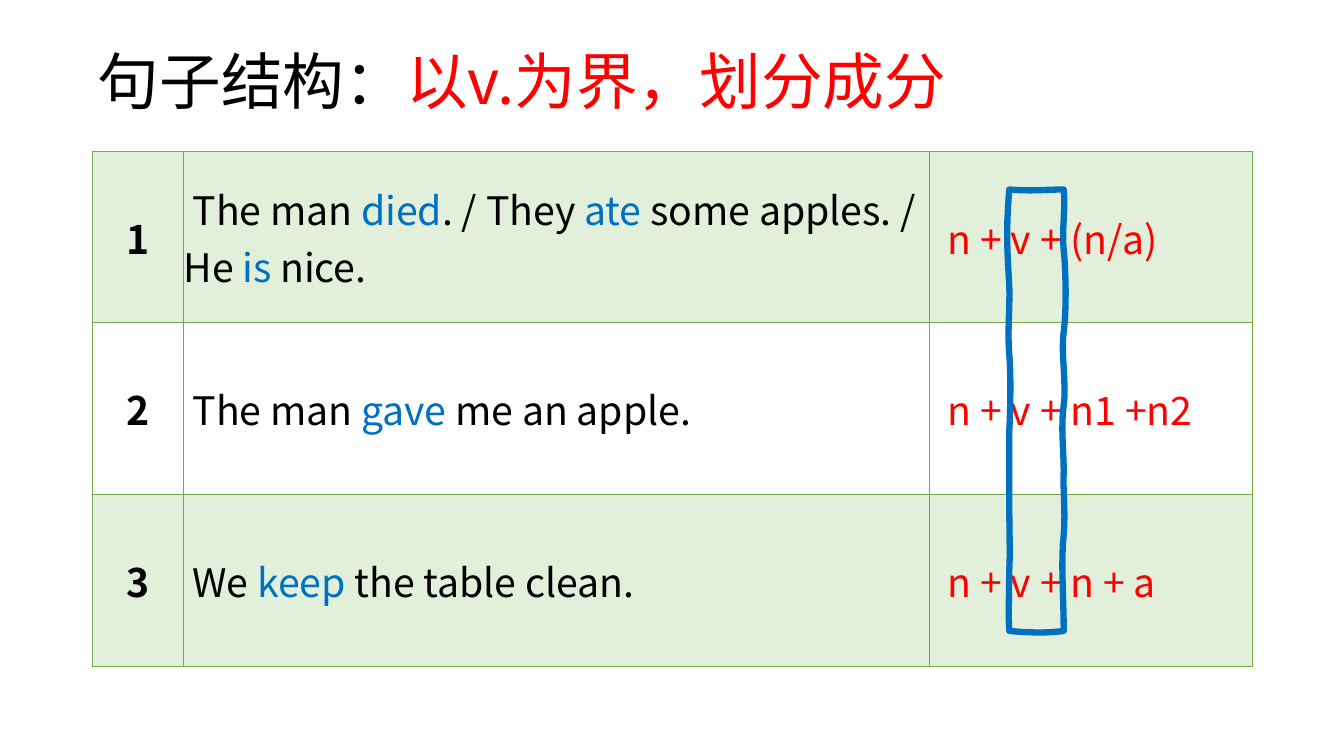
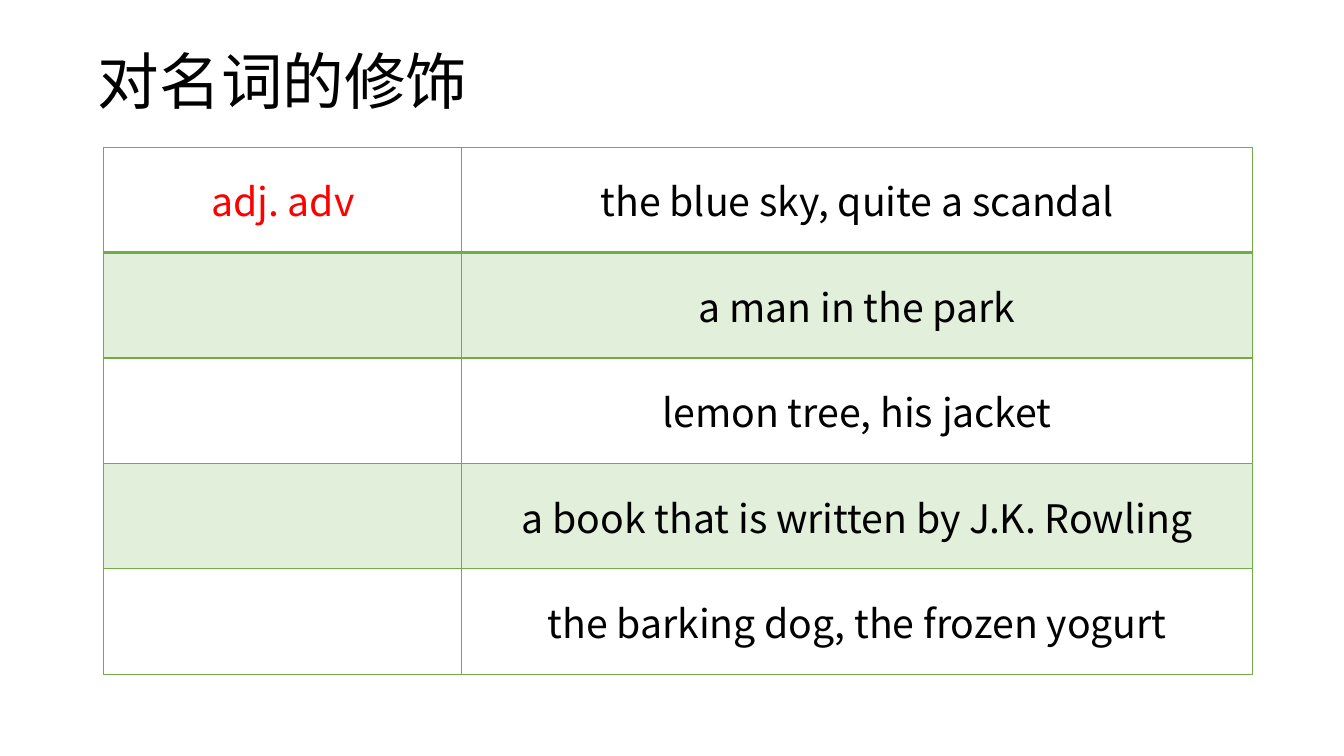
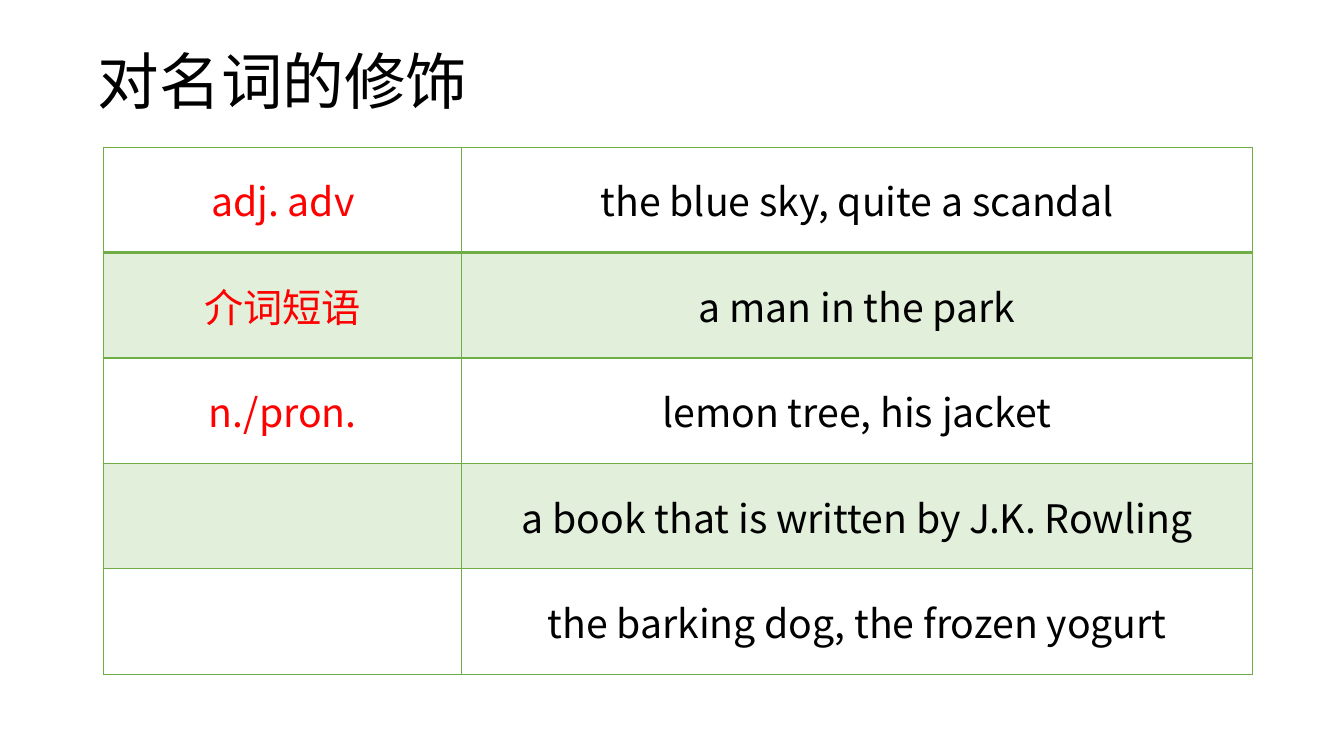
from lxml.etree import SubElement
from pptx import Presentation
from pptx.dml.color import RGBColor
from pptx.enum.text import MSO_ANCHOR, MSO_AUTO_SIZE, PP_ALIGN
from pptx.oxml import parse_xml
from pptx.oxml.ns import nsdecls, qn
from pptx.util import Inches, Pt

COLORS = {
    "text": "000000",
    "accent": "FF0000",
    "verb": "0070C0",
    "border": "70AD47",
    "band": "E2EFDA",
    "plain": "FFFFFF",
}
FONT = "Noto Sans CJK SC"
TITLE_SIZE, BODY_SIZE = 44, 28


def color(name):
    return RGBColor.from_string(COLORS[name])


class Deck:
    """Shared style plus the slide being filled."""

    def __init__(self):
        self.prs = Presentation()
        self.prs.slide_width, self.prs.slide_height = Inches(13.33), Inches(7.5)
        self.slide = None

    def add_runs(self, paragraph, parts, size, bold=False):
        """Fill a paragraph from (text, colour name) pairs."""
        for text, color_name in parts:
            run = paragraph.add_run()
            run.text = text
            run.font.name, run.font.size, run.font.bold = FONT, Pt(size), bold
            run.font.color.rgb = color(color_name)
            SubElement(run._r.get_or_add_rPr(), qn("a:ea"), typeface=FONT)

    def new_slide(self, title_parts):
        self.slide = self.prs.slides.add_slide(self.prs.slide_layouts[5])
        title = self.slide.shapes.title
        title.left, title.top = Inches(0.92), Inches(0.4)
        title.width, title.height = Inches(11.5), Inches(0.87)
        frame = title.text_frame
        frame.auto_size = MSO_AUTO_SIZE.NONE
        frame.vertical_anchor = MSO_ANCHOR.MIDDLE
        frame.margin_left = frame.margin_right = Inches(0.05)
        frame.margin_top = frame.margin_bottom = Inches(0.05)
        paragraph = frame.paragraphs[0]
        paragraph.alignment = PP_ALIGN.LEFT
        paragraph.line_spacing = 0.9
        self.add_runs(paragraph, title_parts, TITLE_SIZE)

    def table(self, left, top, height, widths, row_count, first_band):
        """Bordered grid of equal rows; every second row is tinted."""
        table = self.slide.shapes.add_table(
            row_count, len(widths), Inches(left), Inches(top),
            Inches(sum(widths)), Inches(height)).table
        table.first_row = table.horz_banding = False
        for column, width in zip(table.columns, widths):
            column.width = Inches(width)
        for row_index, row in enumerate(table.rows):
            banded = row_index % 2 == first_band
            for cell in row.cells:
                cell.margin_left = cell.margin_right = 0
                cell.margin_top = cell.margin_bottom = 0
                cell.vertical_anchor = MSO_ANCHOR.MIDDLE
                cell.fill.solid()
                cell.fill.fore_color.rgb = color("band" if banded else "plain")
                self.borders(cell)
        return table

    def borders(self, cell, **widths):
        """Draw all four sides, 1 pt unless a side (L, R, T, B) is given."""
        properties = cell._tc.get_or_add_tcPr()
        for index, side in enumerate("LRTB"):
            for old in properties.findall(qn(f"a:ln{side}")):
                properties.remove(old)
            properties.insert(index, parse_xml(
                f'<a:ln{side} {nsdecls("a")} w="{Pt(widths.get(side, 1))}">'
                f'<a:solidFill><a:srgbClr val="{COLORS["border"]}"/></a:solidFill>'
                f'</a:ln{side}>'))

    def cell(self, cell, parts, centered=True, bold=False, indent=0):
        paragraph = cell.text_frame.paragraphs[0]
        paragraph.alignment = PP_ALIGN.CENTER if centered else PP_ALIGN.LEFT
        if indent:
            properties = paragraph._p.get_or_add_pPr()
            properties.set("marL", "0")
            properties.set("indent", str(Inches(indent)))
        self.add_runs(paragraph, parts, BODY_SIZE, bold)

    def hand_drawn_outline(self, start, curves, steps=8):
        """Closed outline through cubic curves (control, control, end)."""
        points, origin = [], start
        for x1, y1, x2, y2, x3, y3 in curves:
            for step in range(1, steps + 1):
                t = step / steps
                weights = ((1 - t) ** 3, 3 * t * (1 - t) ** 2,
                           3 * t ** 2 * (1 - t), t ** 3)
                x = sum(w * v for w, v in zip(weights, (origin[0], x1, x2, x3)))
                y = sum(w * v for w, v in zip(weights, (origin[1], y1, y2, y3)))
                points.append((Inches(x), Inches(y)))
            origin = (x3, y3)
        builder = self.slide.shapes.build_freeform(Inches(start[0]), Inches(start[1]))
        builder.add_line_segments(points, close=True)
        outline = builder.convert_to_shape()
        outline.shadow.inherit = False
        outline.fill.background()
        outline.line.color.rgb = color("verb")
        outline.line.width = Pt(4.5)


# Sentence patterns: text pieces alternate between plain and verb
PATTERNS = [
    (["The man ", "died", ". / They ", "ate", " some apples. / He ", "is", " nice."],
     "n + v + (n/a)"),
    (["The man ", "gave", " me an apple."], "n + v + n1 +n2"),
    (["We ", "keep", " the table clean."], "n + v + n + a"),
]

# Wavy frame around the verb column
VERB_FRAME_START = (10.01, 1.88)
VERB_FRAME = [
    (10.24, 1.9, 10.35, 1.88, 10.55, 1.88),
    (10.57, 2.05, 10.53, 2.29, 10.55, 2.48),
    (10.57, 2.66, 10.58, 3.09, 10.55, 3.29),
    (10.52, 3.49, 10.58, 3.82, 10.55, 4.02),
    (10.52, 4.23, 10.55, 4.47, 10.55, 4.67),
    (10.54, 4.86, 10.57, 5.05, 10.55, 5.31),
    (10.52, 5.56, 10.55, 5.92, 10.55, 6.26),
    (10.4, 6.28, 10.23, 6.28, 10.01, 6.26),
    (10, 6.13, 10.01, 5.81, 10.01, 5.66),
    (10.02, 5.51, 10.01, 5.19, 10.01, 4.97),
    (10.01, 4.75, 10.01, 4.49, 10.01, 4.29),
    (10.02, 4.08, 10.03, 3.74, 10.01, 3.51),
    (9.99, 3.28, 10.02, 3.02, 10.01, 2.83),
    (10, 2.63, 9.97, 2.33, 10.01, 1.88),
]

NOUN_EXAMPLES = [
    "the blue sky, quite a scandal",
    "a man in the park",
    "lemon tree, his jacket",
    "a book that is written by J.K. Rowling",
    "the barking dog, the frozen yogurt",
]
MODIFIERS = ["adj. adv", "介词短语", "n./pron."]


def sentence_slide(deck):
    deck.new_slide([("句子结构：", "text"), ("以v.为界，划分成分", "accent")])
    table = deck.table(0.92, 1.5, 5.11, [0.9, 7.4, 3.2], len(PATTERNS), first_band=0)
    for index, (pieces, formula) in enumerate(PATTERNS):
        number, sentence, pattern = table.rows[index].cells
        deck.cell(number, [(str(index + 1), "text")], bold=True)
        deck.cell(sentence,
                  [(piece, "verb" if i % 2 else "text") for i, piece in enumerate(pieces)],
                  centered=False, indent=0.09)
        pattern.margin_left = Inches(0.18)
        deck.cell(pattern, [(formula, "accent")], centered=False)
    deck.hand_drawn_outline(VERB_FRAME_START, VERB_FRAME)


def noun_slide(deck, revealed):
    """Examples of noun modifiers, with the first few kinds named."""
    deck.new_slide([("对名词的修饰", "text")])
    table = deck.table(1.03, 1.46, 5.23, [3.55, 7.84], len(NOUN_EXAMPLES), first_band=1)
    for index, example in enumerate(NOUN_EXAMPLES):
        deck.cell(table.cell(index, 1), [(example, "text")])
    for index, modifier in enumerate(MODIFIERS[:revealed]):
        deck.cell(table.cell(index, 0), [(modifier, "accent")])
    # Heavier rule below the first row
    for column in range(2):
        deck.borders(table.cell(0, column), B=2)
        deck.borders(table.cell(1, column), T=2)


def main():
    deck = Deck()
    sentence_slide(deck)
    for revealed in (1, 3):
        noun_slide(deck, revealed)
    deck.prs.save("out.pptx")


if __name__ == "__main__":
    main()
